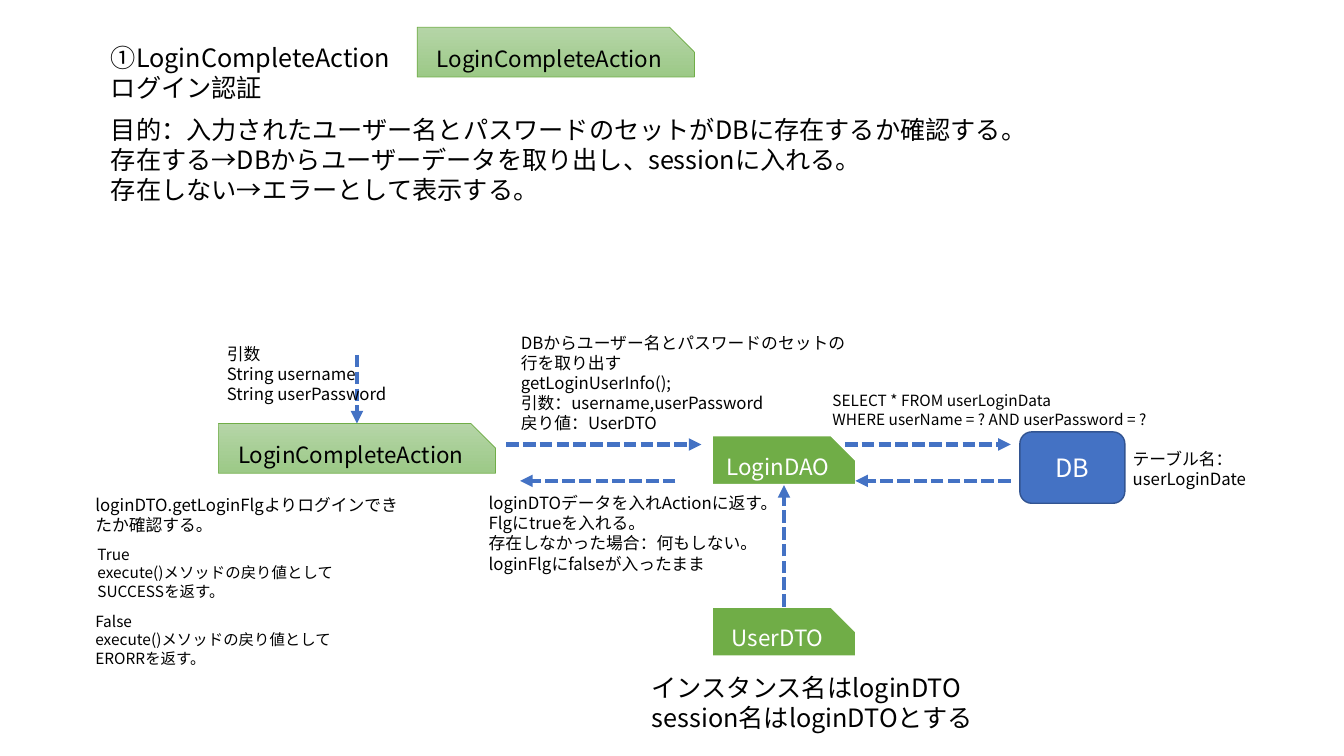
from collections import namedtuple
from dataclasses import dataclass

from lxml import etree
from pptx import Presentation
from pptx.dml.color import RGBColor
from pptx.enum.dml import MSO_LINE
from pptx.enum.shapes import MSO_CONNECTOR, MSO_SHAPE
from pptx.enum.text import MSO_ANCHOR, MSO_AUTO_SIZE, PP_ALIGN
from pptx.oxml.ns import qn
from pptx.util import Pt

SNIPPED = MSO_SHAPE.SNIP_1_RECTANGLE
ROUNDED = MSO_SHAPE.FLOWCHART_ALTERNATE_PROCESS
STRAIGHT = MSO_CONNECTOR.STRAIGHT
DASHED = MSO_LINE.SQUARE_DOT
LEFT, CENTER = PP_ALIGN.LEFT, PP_ALIGN.CENTER
TOP, MIDDLE = MSO_ANCHOR.TOP, MSO_ANCHOR.MIDDLE
FIXED_SIZE = MSO_AUTO_SIZE.NONE

Box = namedtuple("Box", "left top width height")


@dataclass(frozen=True)
class Theme:
    font: str = "Noto Sans CJK JP"
    black: str = "000000"
    white: str = "FFFFFF"
    green: str = "70AD47"
    pale_green: tuple = ("B5D5A7", "9CC987")
    blue: str = "4472C4"
    dark_blue: str = "325491"
    heading: int = 18
    label: int = 16
    note: int = 12
    small: int = 11
    leading: float = 1.2


THEME = Theme()
ACTION_SIZE = (198, 35.5)
CLASS_SIZE = (103, 35.5)


def color(code):
    return RGBColor.from_string(code)


def inside(box, left, top, width, height):
    """Turn a place within a region into a place on the page."""
    return Box(box.left + left, box.top + top, width, height)


# Text and shapes
def write(shape, text, *, size=THEME.note, ink=THEME.black, align=LEFT, anchor=TOP):
    frame = shape.text_frame
    frame.text = text
    frame.word_wrap = True
    frame.auto_size = FIXED_SIZE
    frame.vertical_anchor = anchor
    for para in frame.paragraphs:
        para.alignment = align
        para.line_spacing = Pt(size * THEME.leading)
        para.space_before = para.space_after = Pt(0)
        properties = para._p.get_or_add_pPr()
        properties.set("marL", "0")
        properties.set("indent", "0")
        etree.SubElement(properties, qn("a:buNone"))
        for span in para.runs:
            span.font.size = Pt(size)
            span.font.color.rgb = color(ink)
            span.font.name = THEME.font
            east_asian = etree.SubElement(span.font._element, qn("a:ea"))
            east_asian.set("typeface", THEME.font)


def add_text(page, box, text, **style):
    write(page.shapes.add_textbox(*map(Pt, box)), text, **style)


def fill_placeholder(placeholder, box, text):
    placeholder.left, placeholder.top, placeholder.width, placeholder.height = map(Pt, box)
    write(placeholder, text, size=THEME.heading)


def add_node(page, box, text, *, kind=SNIPPED, fill, line, weight, ink=THEME.white,
             size=THEME.label):
    node = page.shapes.add_shape(kind, *map(Pt, box))
    node.shadow.inherit = False
    if kind == SNIPPED:
        node.adjustments[0] = 0.5
    if isinstance(fill, tuple):
        node.fill.gradient()
        node.fill.gradient_angle = 270
        for stop, code in zip(node.fill.gradient_stops, fill):
            stop.color.rgb = color(code)
    else:
        node.fill.solid()
        node.fill.fore_color.rgb = color(fill)
    node.line.color.rgb = color(line)
    node.line.width = Pt(weight)
    write(node, text, size=size, ink=ink, align=CENTER, anchor=MIDDLE)


def add_action(page, box):
    add_node(page, box, "LoginCompleteAction", fill=THEME.pale_green,
             line=THEME.green, weight=0.5, ink=THEME.black)


def add_class(page, box, name):
    add_node(page, box, name, fill=THEME.green, line=THEME.white, weight=1.5)


def add_arrow(page, box, start, end):
    """Draw a dashed arrow between two points of a region."""
    points = [Pt(origin + offset) for point in (start, end)
              for origin, offset in zip((box.left, box.top), point)]
    arrow = page.shapes.add_connector(STRAIGHT, *points)
    arrow.line.color.rgb = color(THEME.blue)
    arrow.line.width = Pt(3)
    arrow.line.dash_style = DASHED
    properties = arrow.element.spPr
    etree.SubElement(properties.find(qn("a:ln")), qn("a:tailEnd")).set("type", "triangle")
    etree.SubElement(properties, qn("a:effectLst"))


# Regions
def heading_region(page, box):
    title, body = page.placeholders
    fill_placeholder(title, inside(box, 0, 7, 262, 51), "①LoginCompleteAction\nログイン認証")
    fill_placeholder(
        body, inside(box, 0, 58.5, box.width, 73),
        "目的：入力されたユーザー名とパスワードのセットがDBに存在するか確認する。\n"
        "存在する→DBからユーザーデータを取り出し、sessionに入れる。\n"
        "存在しない→エラーとして表示する。")
    add_action(page, inside(box, 226, 0, *ACTION_SIZE))


def action_region(page, box):
    add_arrow(page, box, (194, 11.5), (194, 60.5))
    add_action(page, inside(box, 95, 60.5, *ACTION_SIZE))
    add_text(page, inside(box, 94, 0, 136, 51),
             "引数\nString username\nString userPassword")
    add_text(page, inside(box, 0, 108, box.width, 36),
             "loginDTO.getLoginFlgよりログインできたか確認する。")
    outcomes = (("True", "SUCCESS", 1.5), ("False", "ERORR", 0))
    for row, (flag, result, left) in enumerate(outcomes):
        add_text(page, inside(box, left, 143.5 + row * 48, 202, 47.5),
                 f"{flag}\nexecute()メソッドの戻り値として{result}を返す。", size=THEME.small)


def exchange_region(page, box):
    add_arrow(page, box, (19.5, 83.5), (159, 83.5))
    add_arrow(page, box, (140.5, 109.5), (29.5, 109.5))
    add_text(page, inside(box, 23, 0, 247, 80),
             "DBからユーザー名とパスワードのセットの行を取り出す\ngetLoginUserInfo();\n"
             "引数：username,userPassword\n戻り値：UserDTO")
    add_text(page, inside(box, 0, 114.5, 218, 65.5),
             "loginDTOデータを入れActionに返す。\nFlgにtrueを入れる。\n"
             "存在しなかった場合：何もしない。loginFlgにfalseが入ったまま")


def class_region(page, box):
    add_class(page, inside(box, 50, 0, *CLASS_SIZE), "LoginDAO")
    add_class(page, inside(box, 50, 122.5, *CLASS_SIZE), "UserDTO")
    add_arrow(page, box, (101.5, 122.5), (101.5, 35.5))
    add_text(page, inside(box, 0, 165.5, box.width, 51),
             "インスタンス名はloginDTO\nsession名はloginDTOとする", size=THEME.heading)


def database_region(page, box):
    add_node(page, inside(box, 141, 32.5, 75, 51), "DB", kind=ROUNDED, fill=THEME.blue,
             line=THEME.dark_blue, weight=1, size=THEME.heading)
    add_arrow(page, box, (16, 41.5), (134.5, 41.5))
    add_arrow(page, box, (134.5, 67.5), (23.5, 67.5))
    add_text(page, inside(box, 0, 0, 270, 34),
             "SELECT * FROM userLoginData\nWHERE userName = ? AND userPassword = ?",
             size=THEME.small)
    add_text(page, inside(box, 214.5, 41, 146, 36), "テーブル名：userLoginDate")


def main():
    deck = Presentation()
    deck.slide_width, deck.slide_height = Pt(960), Pt(540)
    page = deck.slides.add_slide(deck.slide_layouts[1])
    heading_region(page, Box(72, 19.5, 701, 132))
    action_region(page, Box(61, 242, 232.5, 239))
    exchange_region(page, Box(342, 234, 270, 180))
    class_region(page, Box(458.5, 311, 305, 217))
    database_region(page, Box(587.5, 276, 361, 84))
    deck.save("out.pptx")


if __name__ == "__main__":
    main()
